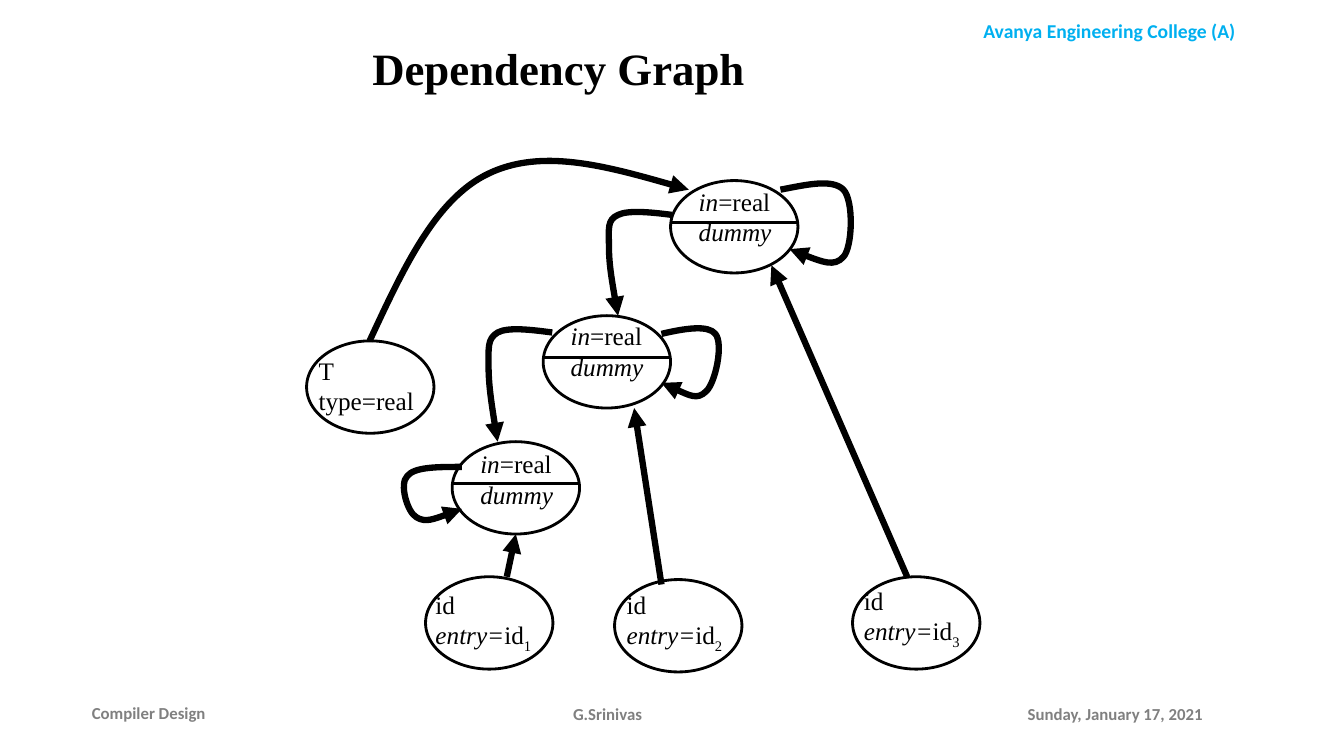
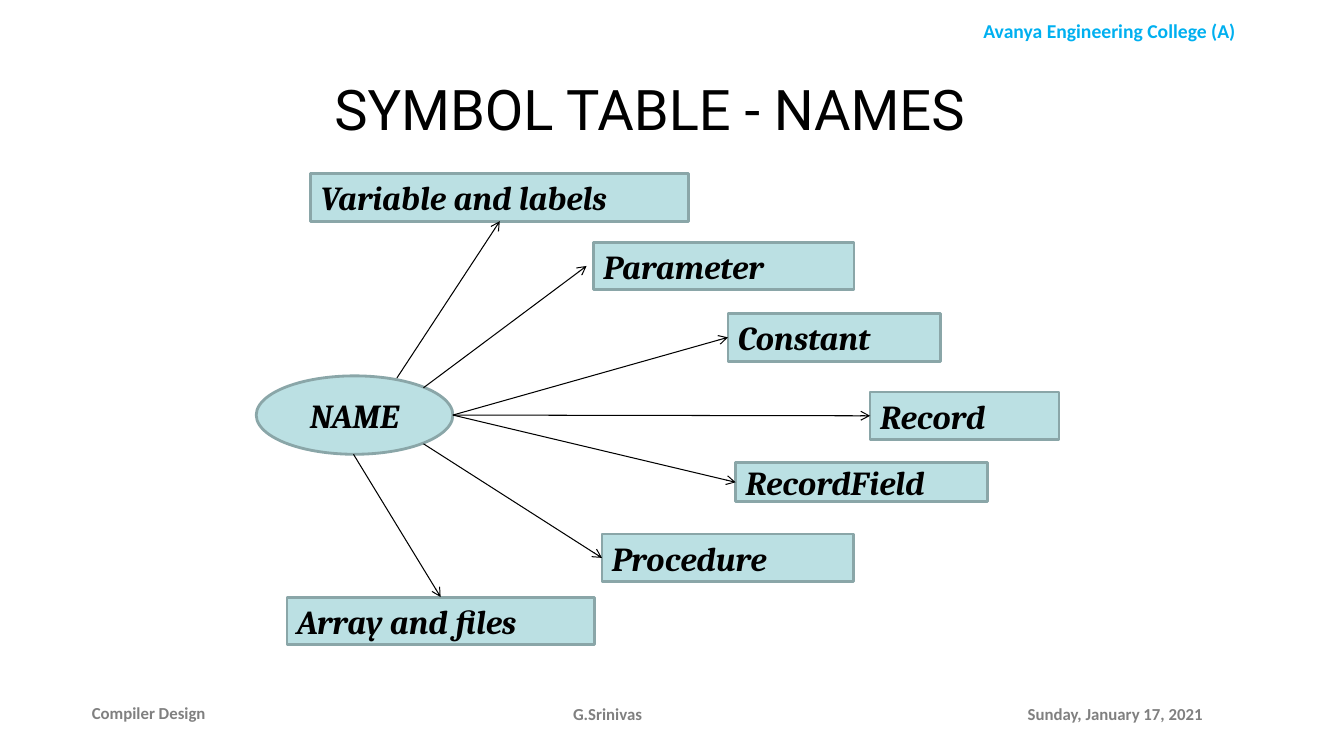
from pptx import Presentation
from pptx.dml.color import RGBColor
from pptx.enum.shapes import MSO_CONNECTOR, MSO_SHAPE
from pptx.enum.text import MSO_ANCHOR, MSO_AUTO_SIZE, PP_ALIGN
from pptx.oxml.ns import qn
from pptx.util import Pt
from lxml.etree import SubElement

HUES = {"ink": "000000", "head": "00B0F0", "foot": "808080",
        "fill": "BBE0E3", "edge": "8AA6A8"}
LEFT, MID = PP_ALIGN.LEFT, PP_ALIGN.CENTER

FRAME = [
    ("Avanya Engineering College (A)", (654.5, 10, 276, 24.5), 14, "head", MID),
    ("Compiler Design", (58.5, 494.5, 152, 29), 12, "foot", LEFT),
    ("Sunday, January 17, 2021", (727, 495.5, 166, 29), 12, "foot", LEFT),
    ("G.Srinivas", (326, 495.5, 216, 29), 12, "foot", MID),
]

OVAL = (91, 66)
REAL = [[("in", "i"), ("=real", "")], [("dummy", "i")]]


def entry(num):
    return [[("id", "")], [("entry=", "i"), ("id", ""), (num, "sub")]]


# left, top, text offset, text width, lines, split
NODES = [
    (479, 129, (13, 0.5), 67, REAL, True),
    (388, 225.5, (12.5, 0), 67, REAL, True),
    (323, 315.5, (13, 1.5), 67, REAL, True),
    (219, 243.5, (1.5, 6.5), 83.5, [[("T", "")], [("type=real", "")]], False),
    (304, 412, (0, 5.5), 84, entry("1"), False),
    (439, 414, (1.5, 3.5), 84, entry("2"), False),
    (609, 412, (1, 2.5), 84, entry("3"), False),
]
RISES = [((362, 412), (368.5, 381.5)), ((472.5, 417.5), (453, 291.5)),
         ((648, 412), (551, 189.5))]
CURVES = [
    [(330, 333.5), (312.5, 333.5), (296, 333.5), (291, 340), (285, 345.5),
     (291, 366), (297.5, 369.5), (304, 373.5), (317, 368.5), (330, 363.5)],
    [(394.5, 237.5), (379, 235.5), (363, 233.5), (355.5, 237.5), (348, 242),
     (349, 248.5), (349, 261.5), (349, 274.5), (352, 295), (355.5, 315.5)],
    [(480, 153.5), (464.5, 151.5), (448.5, 150), (441.5, 153.5), (433.5, 157),
     (435, 163.5), (435, 175.5), (435, 188), (438, 206.5), (441.5, 225.5)],
    [(472.5, 238.5), (489.5, 234.5), (506, 232), (511, 238.5), (517, 245.5),
     (511, 273.5), (504.5, 279.5), (498, 286), (485.5, 279.5), (472.5, 273.5)],
    [(557.5, 135.5), (576, 132), (594.5, 127.5), (602.5, 135.5), (610, 143.5),
     (609, 176.5), (602.5, 183.5), (596, 191), (579.5, 184.5), (564, 178)],
    [(264, 243.5), (288, 192), (311, 142), (349, 124), (386.5, 106),
     (439, 120), (492, 135.5)],
]

HUB = ("NAME", (183, 268.5, 140.5, 56))
# text, box, arrow start, side joined or free end
KINDS = [
    ("Variable and labels", (222, 124, 270, 34), (283.5, 270), 2),
    ("Parameter", (424, 173, 186, 34), (302.5, 277), (419, 190)),
    ("Constant", (520, 224, 152, 34), (323.5, 296.5), 1),
    ("Record", (621.5, 280, 135, 34), (323.5, 296.5), 1),
    ("RecordField", (525.5, 330.5, 180, 28), (323.5, 296.5), 1),
    ("Procedure", (430, 381.5, 180, 34), (302.5, 317), 1),
    ("Array and files", (205, 426.5, 219.5, 34), (252.5, 324.5), 0),
]


def pts(vals):
    return [Pt(v) for v in vals]


def rgb(name):
    return RGBColor.from_string(HUES[name])


def style(para, face, size, hue="ink", bold=False, slant=False, align=LEFT):
    para.alignment = align
    font = para.font
    font.name, font.size = face, Pt(size)
    font.bold, font.italic = bold, slant
    font.color.rgb = rgb(hue)


def pen(shape, hue, width, tail=None):
    shape.line.color.rgb = rgb(hue)
    shape.line.width = Pt(width)
    if tail:
        SubElement(shape.line._get_or_add_ln(), qn("a:tailEnd"), type=tail)


def label(slide, box, wrap=True, anchor=MSO_ANCHOR.MIDDLE):
    frame = slide.shapes.add_textbox(*pts(box)).text_frame
    frame.word_wrap = wrap
    frame.vertical_anchor = anchor
    return frame


def line(slide, start, end, width, tail=None):
    link = slide.shapes.add_connector(
        MSO_CONNECTOR.STRAIGHT, *pts(start), *pts(end))
    pen(link, "ink", width, tail)
    SubElement(link._element.spPr, qn("a:effectLst"))
    return link


def solid(slide, kind, box, hue=None, edge="ink"):
    shape = slide.shapes.add_shape(kind, *pts(box))
    shape.shadow.inherit = False
    if hue:
        shape.fill.solid()
        shape.fill.fore_color.rgb = rgb(hue)
    else:
        shape.fill.background()
    pen(shape, edge, 2)
    return shape


def curve(slide, knots):
    form = slide.shapes.build_freeform(*pts(knots[0]))
    form.add_line_segments([pts(k) for k in knots[1:]], close=False)
    shape = form.convert_to_shape()
    shape.shadow.inherit = False
    shape.fill.background()
    pen(shape, "ink", 4.5, "triangle")
    route = next(shape._element.iter(qn("a:path")))
    steps = route.findall(qn("a:lnTo"))
    for i in range(0, len(steps), 3):
        bend = SubElement(route, qn("a:cubicBezTo"))
        for step in steps[i:i + 3]:
            bend.append(step[0])
            route.remove(step)


def start(deck, text, box, face, size, bold):
    slide = deck.slides.add_slide(deck.slide_layouts[5])
    title = slide.shapes.title
    title.left, title.top, title.width, title.height = pts(box)
    frame = title.text_frame
    frame.text = text
    frame.auto_size = MSO_AUTO_SIZE.NONE
    frame.vertical_anchor = MSO_ANCHOR.MIDDLE
    style(frame.paragraphs[0], face, size, bold=bold, align=MID)
    for words, area, points, hue, align in FRAME:
        note = label(slide, area)
        note.text = words
        style(note.paragraphs[0], "Calibri", points, hue, True, align=align)
    return slide


def node(slide, left, top, shift, width, rows, split):
    solid(slide, MSO_SHAPE.OVAL, (left, top, *OVAL))
    if split:
        line(slide, (left, top + 30), (left + OVAL[0], top + 30), 2)
    box = (left + shift[0], top + shift[1], width, 51)
    frame = label(slide, box, False, MSO_ANCHOR.TOP)
    for i, row in enumerate(rows):
        para = frame.add_paragraph() if i else frame.paragraphs[0]
        style(para, "Times New Roman", 18)
        for text, mark in row:
            run = para.add_run()
            run.text = text
            if mark == "i":
                run.font.italic = True
            elif mark == "sub":
                run.font._element.set("baseline", "-25000")


def block(slide, kind, text, box, align):
    shape = solid(slide, kind, box, "fill", "edge")
    frame = shape.text_frame
    frame.text = text
    frame.vertical_anchor = MSO_ANCHOR.MIDDLE
    style(frame.paragraphs[0], "Cambria", 24, bold=True, slant=True, align=align)
    return shape


def graph(deck):
    slide = start(deck, "Dependency Graph", (30, 12, 738, 72),
                  "Times New Roman", 32, True)
    for item in NODES:
        node(slide, *item)
    for tip in RISES:
        line(slide, *tip, 4.5, "triangle")
    for knots in CURVES:
        curve(slide, knots)


def names(deck):
    slide = start(deck, "SYMBOL TABLE - NAMES", (140, 32, 648, 90),
                  "Roboto", 40, False)
    block(slide, MSO_SHAPE.OVAL, *HUB, MID)
    for text, box, root, end in KINDS:
        shape = block(slide, MSO_SHAPE.RECTANGLE, text, box, LEFT)
        free = isinstance(end, tuple)
        link = line(slide, root, end if free else box[:2], 0.75, "arrow")
        if not free:
            link.end_connect(shape, end)


def main():
    deck = Presentation()
    deck.slide_width, deck.slide_height = Pt(960), Pt(540)
    graph(deck)
    names(deck)
    deck.save("out.pptx")


if __name__ == "__main__":
    main()
